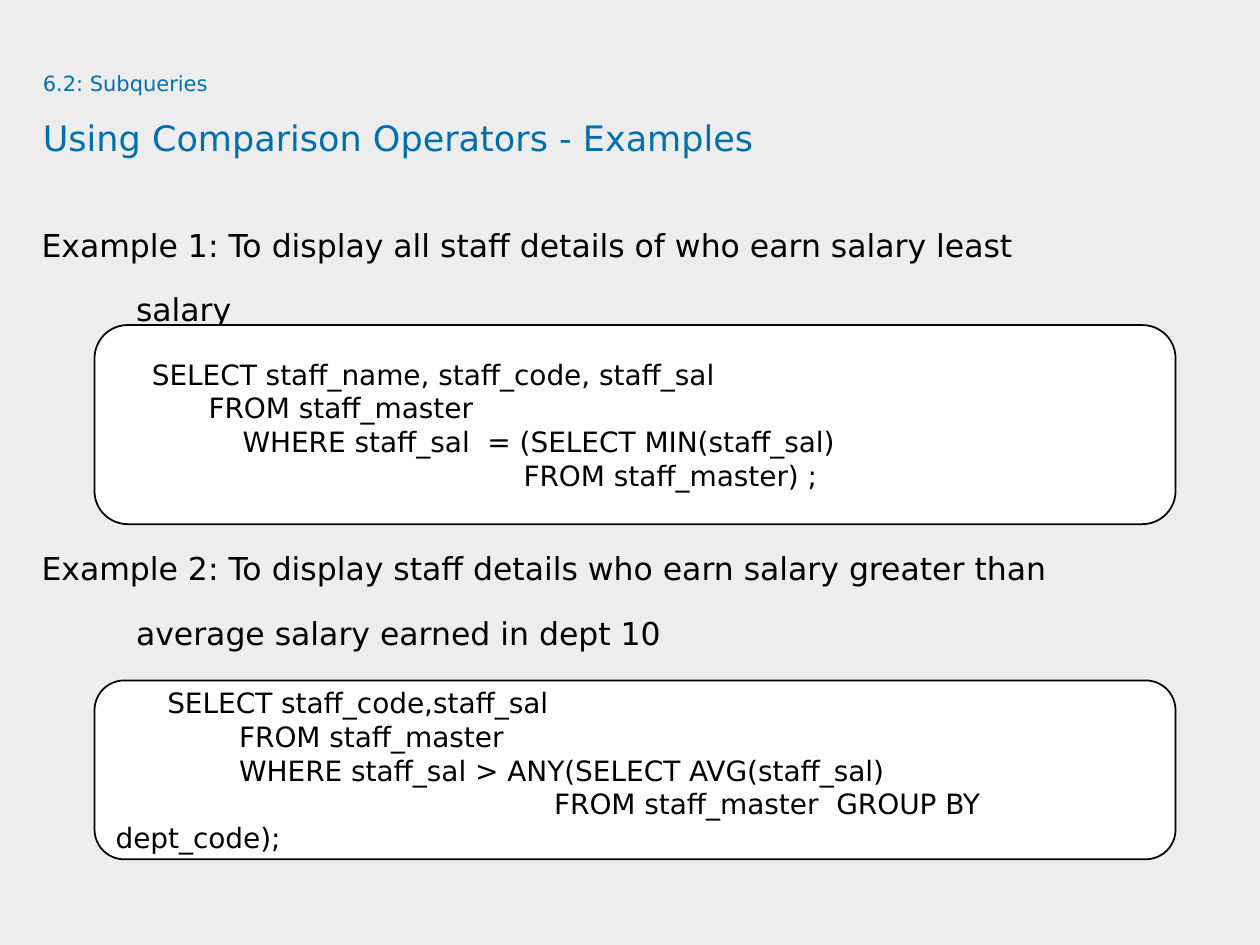
"""Build the slide on comparison operators in subqueries."""
import pptx
import pptx.dml.color
import pptx.enum.shapes
import pptx.enum.text
import pptx.util

FONT = "DejaVu Sans"
BLUE, BLACK, WHITE, GREY = "0070AD", "000000", "FFFFFF", "EDEDED"

TITLE = [("6.2: Subqueries", 12), ("Using Comparison Operators - Examples", 20)]
TITLE_AREA = (0.34, 0.46, 9.09, 0.94)

EXAMPLES = [
    (0, "Example 1: To display all staff details of who earn salary least"),
    (0.75, "salary"),
    (0, "Example 2: To display staff details who earn salary greater than"),
    (0.75, "average salary earned in dept 10"),
]
EXAMPLES_AREA = (0.33, 1.64, 9.67, 5.08)
EXAMPLE_GAP = 111

CODE_LEFT, CODE_WIDTH = 0.75, 8.58
QUERIES = [
    (2.58, 1.58, [
        (0.28, "SELECT staff_name, staff_code, staff_sal"),
        (0.73, "FROM staff_master"),
        (1, "WHERE staff_sal  = (SELECT MIN(staff_sal)"),
        (3.23, "FROM staff_master) ;"),
    ]),
    (5.4, 1.42, [
        (0.41, "SELECT staff_code,staff_sal"),
        (0.98, "FROM staff_master"),
        (0.98, "WHERE staff_sal > ANY(SELECT AVG(staff_sal)"),
        (3.48, "FROM staff_master  GROUP BY dept_code);"),
    ]),
]


def color(value):
    return pptx.dml.color.RGBColor.from_string(value)


def inches(values):
    return [pptx.util.Inches(value) for value in values]


def format_font(font, size, value):
    font.name = FONT
    font.size = pptx.util.Pt(size)
    font.color.rgb = color(value)


def set_frame(text_frame, anchor, horizontal=0, vertical=0):
    text_frame.word_wrap = True
    text_frame.auto_size = pptx.enum.text.MSO_AUTO_SIZE.NONE
    text_frame.vertical_anchor = anchor
    text_frame.margin_left = text_frame.margin_right = pptx.util.Inches(horizontal)
    text_frame.margin_top = text_frame.margin_bottom = pptx.util.Inches(vertical)


def write_lines(text_frame, lines, size):
    text_frame.text = "\n".join(text for _, text in lines)
    for paragraph, (indent, _) in zip(text_frame.paragraphs, lines):
        properties = paragraph._p.get_or_add_pPr()
        properties.set("marL", "0")
        properties.set("indent", str(pptx.util.Inches(indent)))
        paragraph.alignment = pptx.enum.text.PP_ALIGN.LEFT
        for run in paragraph.runs:
            format_font(run.font, size, BLACK)


def add_title(slide):
    title = slide.shapes.title
    title.left, title.top, title.width, title.height = inches(TITLE_AREA)
    set_frame(title.text_frame, pptx.enum.text.MSO_ANCHOR.TOP)
    title.text_frame.text = "\v".join(text for text, _ in TITLE)
    paragraph = title.text_frame.paragraphs[0]
    paragraph.alignment = pptx.enum.text.PP_ALIGN.LEFT
    paragraph.line_spacing = 1.5
    paragraph.space_before = pptx.util.Pt(0)
    for run, (_, size) in zip(paragraph.runs, TITLE):
        format_font(run.font, size, BLUE)


def add_examples(slide):
    text_frame = slide.shapes.add_textbox(*inches(EXAMPLES_AREA)).text_frame
    set_frame(text_frame, pptx.enum.text.MSO_ANCHOR.TOP)
    write_lines(text_frame, EXAMPLES, 18)
    for paragraph in text_frame.paragraphs:
        paragraph.line_spacing = 1.5
        paragraph.space_after = pptx.util.Pt(4.5)
    text_frame.paragraphs[2].space_before = pptx.util.Pt(EXAMPLE_GAP)


def add_query(slide, top, height, lines):
    shape = slide.shapes.add_shape(
        pptx.enum.shapes.MSO_SHAPE.ROUNDED_RECTANGLE,
        *inches((CODE_LEFT, top, CODE_WIDTH, height)))
    shape.shadow.inherit = False
    shape.fill.solid()
    shape.fill.fore_color.rgb = color(WHITE)
    shape.line.color.rgb = color(BLACK)
    shape.line.width = pptx.util.Pt(1)
    set_frame(shape.text_frame, pptx.enum.text.MSO_ANCHOR.MIDDLE, 0.1, 0.05)
    write_lines(shape.text_frame, lines, 16)


def main():
    presentation = pptx.Presentation()
    presentation.slide_width, presentation.slide_height = inches((10, 7.5))
    slide = presentation.slides.add_slide(presentation.slide_layouts[5])
    slide.background.fill.solid()
    slide.background.fill.fore_color.rgb = color(GREY)
    add_title(slide)
    add_examples(slide)
    for top, height, lines in QUERIES:
        add_query(slide, top, height, lines)
    presentation.save("out.pptx")


if __name__ == "__main__":
    main()
